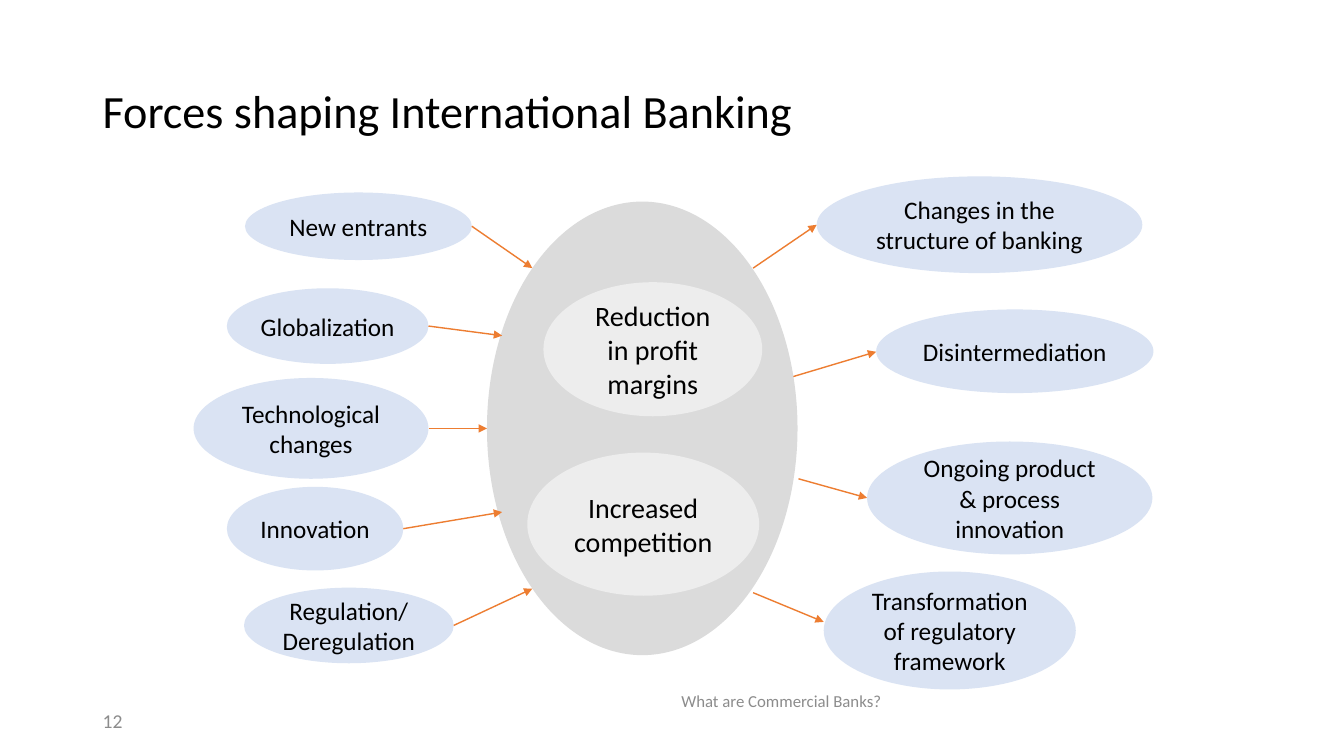
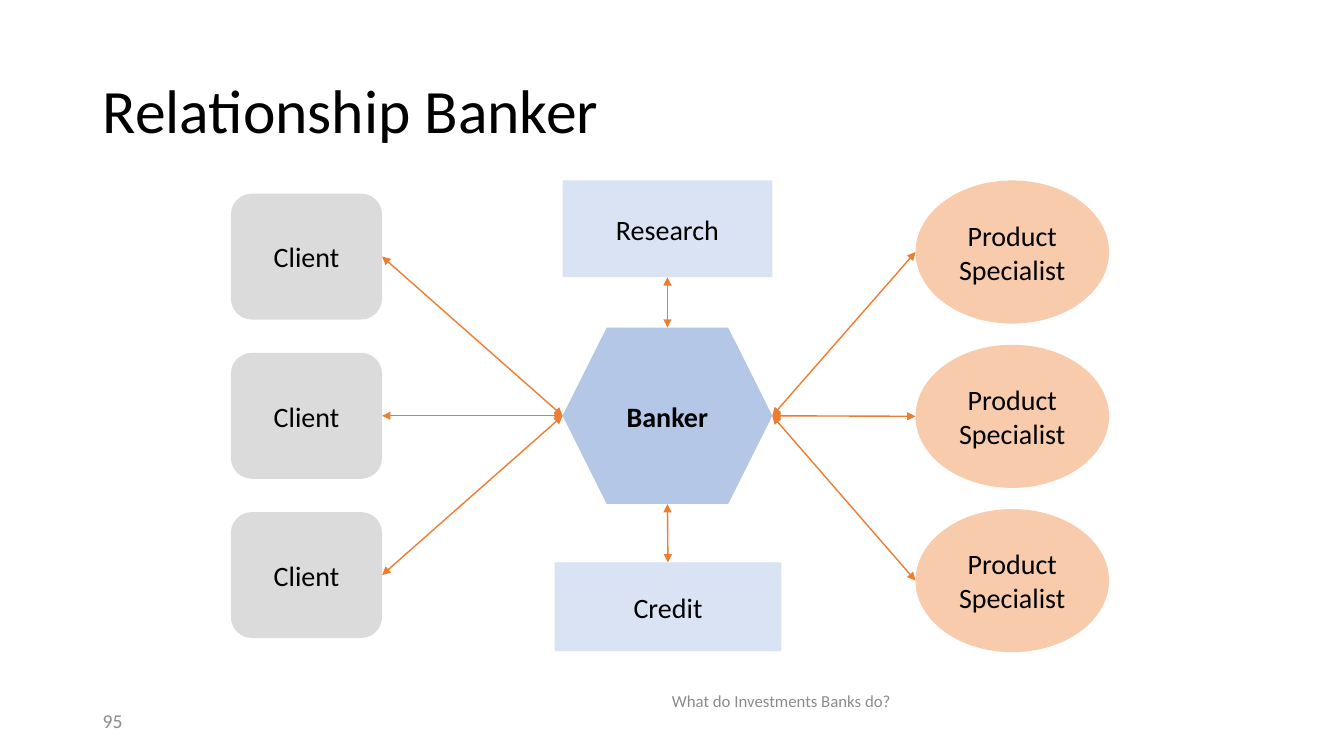
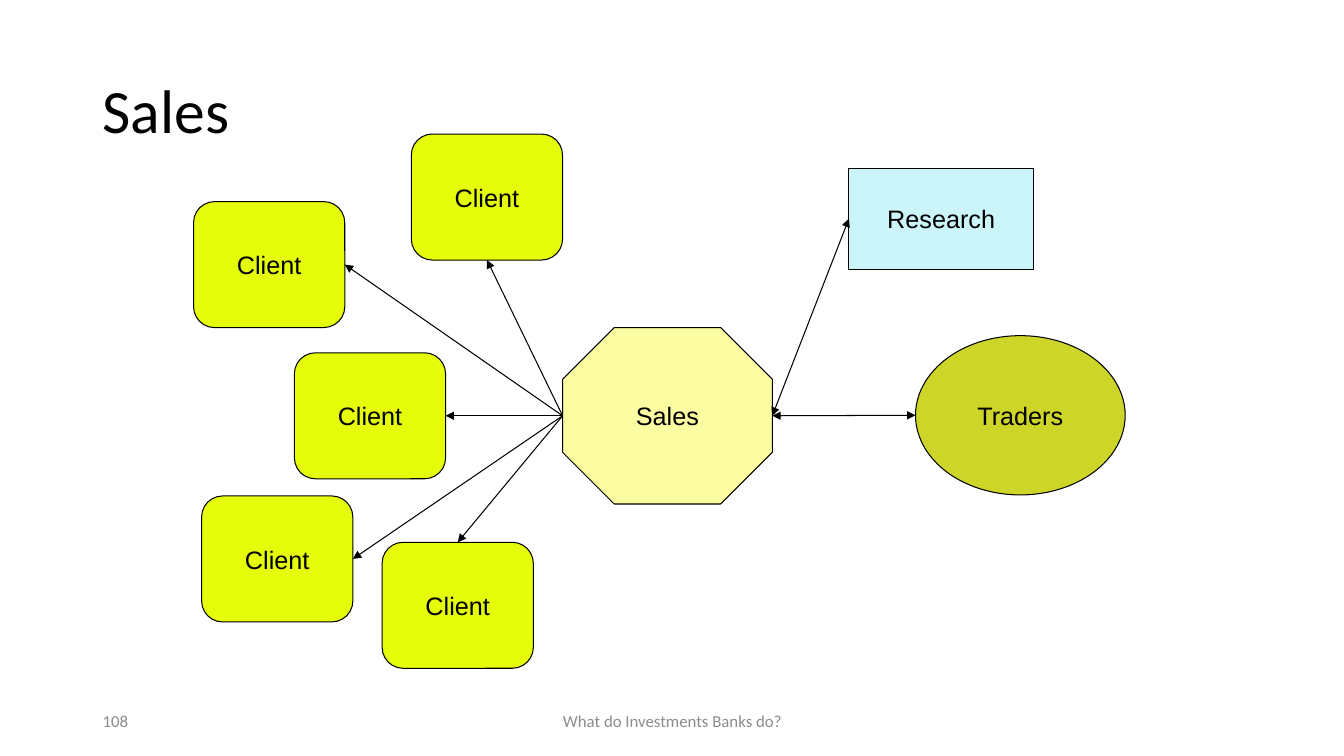
from dataclasses import dataclass
from typing import Any, NamedTuple, Optional, Union

import pptx
import pptx.dml.color
import pptx.enum.shapes
import pptx.enum.text
import pptx.oxml.ns
import pptx.util
from lxml import etree

Inches = pptx.util.Inches
Pt = pptx.util.Pt
SHAPE = pptx.enum.shapes.MSO_SHAPE
ALIGN = pptx.enum.text.PP_ALIGN
MIDDLE = pptx.enum.text.MSO_ANCHOR.MIDDLE
qn = pptx.oxml.ns.qn

COLORS = {
    "black": "000000",
    "footer": "8C8C8C",
    "orange": "ED7D31",
    "gray": "DBDBDB",
    "pale gray": "EDEDED",
    "pale blue": "DAE3F3",
    "blue": "B4C7E7",
    "peach": "F8CBAD",
    "lime": "E5FC0A",
    "cream": "FCFCA2",
    "cyan": "CBF5F9",
    "olive": "CDD529",
}
TOP, LEFT, BOTTOM, RIGHT = range(4)
SIDE_FACTORS = {TOP: (0.5, 0), LEFT: (0, 0.5), BOTTOM: (0.5, 1), RIGHT: (1, 0.5)}
FOUR_SITED = (SHAPE.RECTANGLE, SHAPE.ROUNDED_RECTANGLE)


class Box(NamedTuple):
    x: float
    y: float
    w: float
    h: float


class Point(NamedTuple):
    x: float
    y: float


class Port(NamedTuple):
    sp: Any
    side: int


End = Union[Point, Port]


@dataclass(frozen=True)
class NodeStyle:
    geom: Any
    fill: str
    size: float
    font: str = "Calibri"
    outline: Optional[str] = None
    bold: bool = False


@dataclass(frozen=True)
class Node:
    text: str
    box: Box
    style: NodeStyle
    wrap: bool = False


@dataclass(frozen=True)
class ArrowStyle:
    color: str
    width: float


TITLE_BOX = Box(0.92, 0.4, 11.5, 1.45)
NUMBER_BOX = Box(0.92, 6.95, 3, 0.4)
RAISED_FOOTER = Box(3.84, 6.72, 7.82, 0.47)
LOW_FOOTER = Box(4.42, 6.95, 4.5, 0.4)

ORANGE_ARROW = ArrowStyle("orange", 1)
BLACK_ARROW = ArrowStyle("black", 0.75)

FORCE = NodeStyle(SHAPE.OVAL, "pale blue", 18)
CORE = NodeStyle(SHAPE.OVAL, "gray", 20)
PRESSURE = NodeStyle(SHAPE.OVAL, "pale gray", 20)
CLIENT = NodeStyle(SHAPE.ROUNDED_RECTANGLE, "gray", 20)
SUPPORT = NodeStyle(SHAPE.RECTANGLE, "pale blue", 20)
BANKER = NodeStyle(SHAPE.HEXAGON, "blue", 20, bold=True)
SPECIALIST = NodeStyle(SHAPE.OVAL, "peach", 20)
SALES_CLIENT = NodeStyle(SHAPE.ROUNDED_RECTANGLE, "lime", 18, "Arial", "black")
SALES = NodeStyle(SHAPE.OCTAGON, "cream", 18, "Arial", "black")
RESEARCH = NodeStyle(SHAPE.RECTANGLE, "cyan", 18, "Arial", "black")
TRADERS = NodeStyle(SHAPE.OVAL, "olive", 18, "Arial", "black")


def rgb(name: str) -> pptx.dml.color.RGBColor:
    return pptx.dml.color.RGBColor.from_string(COLORS[name])


def write_text(sp: Any, text: str, font: dict, color: str = "black",
               paragraph: Optional[dict] = None, wrap: bool = True) -> None:
    tf = sp.text_frame
    tf.word_wrap = wrap
    tf.vertical_anchor = MIDDLE
    for i, line in enumerate(text.split("\n")):
        p = tf.paragraphs[0] if i == 0 else tf.add_paragraph()
        for key, value in (paragraph or {}).items():
            setattr(p, key, value)
        r = p.add_run()
        r.text = line
        for key, value in font.items():
            setattr(r.font, key, value)
        r.font.color.rgb = rgb(color)


def add_label(s: Any, text: str, box: Box, size: float, color: str,
              paragraph: Optional[dict] = None) -> None:
    sp = s.shapes.add_textbox(*map(Inches, box))
    write_text(sp, text, {"name": "Calibri", "size": Pt(size)}, color, paragraph)


def add_slide(prs: Any, title: str, number: str, footer: str, title_size: float = 44,
              number_size: float = 14, footer_box: Box = RAISED_FOOTER) -> Any:
    s = prs.slides.add_slide(prs.slide_layouts[6])
    add_label(s, title, TITLE_BOX, title_size, "black", {"line_spacing": 0.9})
    add_label(s, number, NUMBER_BOX, number_size, "footer")
    add_label(s, footer, footer_box, 12, "footer", {"alignment": ALIGN.CENTER})
    return s


def add_node(s: Any, node: Node) -> Any:
    style = node.style
    sp = s.shapes.add_shape(style.geom, *map(Inches, node.box))
    sp.shadow.inherit = False
    sp.fill.solid()
    sp.fill.fore_color.rgb = rgb(style.fill)
    if style.outline:
        sp.line.color.rgb = rgb(style.outline)
        sp.line.width = Pt(0.75)
    else:
        sp.line.fill.background()
    if node.text:
        font = {"name": style.font, "size": Pt(style.size), "bold": style.bold}
        write_text(sp, node.text, font, paragraph={"alignment": ALIGN.CENTER}, wrap=node.wrap)
    return sp


def locate(end: End) -> tuple[int, int]:
    if isinstance(end, Point):
        return Inches(end.x), Inches(end.y)
    sp, (fx, fy) = end.sp, SIDE_FACTORS[end.side]
    return int(sp.left + sp.width * fx), int(sp.top + sp.height * fy)


def add_arrow(s: Any, begin: End, end: End, style: ArrowStyle, both: bool = False) -> None:
    line = s.shapes.add_connector(pptx.enum.shapes.MSO_CONNECTOR.STRAIGHT,
                                  *locate(begin), *locate(end))
    for port, connect in ((begin, line.begin_connect), (end, line.end_connect)):
        if isinstance(port, Port) and port.sp.auto_shape_type in FOUR_SITED:
            connect(port.sp, port.side)
    line.line.color.rgb = rgb(style.color)
    line.line.width = Pt(style.width)
    props = line.element.spPr
    for tag in ("a:headEnd", "a:tailEnd") if both else ("a:tailEnd",):
        etree.SubElement(props.find(qn("a:ln")), qn(tag), type="triangle")
    etree.SubElement(props, qn("a:effectLst"))


def build_forces(prs: Any) -> None:
    s = add_slide(prs, "Forces shaping International Banking", "12",
                  "What are Commercial Banks?", title_size=33)
    add_arrow(s, Point(7.82, 3.75), Point(8.69, 3.49), ORANGE_ARROW)
    add_node(s, Node("", Box(4.83, 2, 3.08, 4.5), CORE))
    for text, box in (
        ("Reduction in profit margins", Box(5.39, 2.8, 2.17, 1.33)),
        ("Increased competition", Box(5.23, 4.49, 2.3, 1.42)),
    ):
        add_node(s, Node(text, box, PRESSURE, wrap=True))
    causes = (
        (Node("New entrants", Box(2.43, 1.91, 2.25, 0.67), FORCE), Point(5.28, 2.66)),
        (Node("Globalization", Box(2.25, 2.86, 2, 0.75), FORCE), Point(4.98, 3.33)),
        (Node("Technological changes", Box(1.92, 3.75, 2.33, 1), FORCE, True), Point(4.83, 4.25)),
        (Node("Innovation", Box(2.25, 4.83, 1.75, 0.83), FORCE), Point(4.98, 5.08)),
        (Node("Regulation/\nDeregulation", Box(2.42, 5.83, 2.08, 0.75), FORCE), Point(5.28, 5.84)),
    )
    for node, target in causes:
        add_arrow(s, Port(add_node(s, node), RIGHT), target, ORANGE_ARROW)
    add_node(s, Node("Disintermediation", Box(8.69, 3.07, 2.75, 0.83), FORCE))
    effects = (
        (Point(7.47, 2.66), Point(8.1, 2.23),
         Node("Changes in the structure of banking", Box(8.1, 1.75, 3.23, 0.96), FORCE, True)),
        (Point(7.92, 4.75), Point(8.6, 4.94),
         Node("Ongoing product & process innovation", Box(8.6, 4.38, 2.83, 1.12), FORCE, True)),
        (Point(7.47, 5.88), Point(8.17, 6.17),
         Node("Transformation of regulatory framework", Box(8.17, 5.67, 2.5, 1.17), FORCE, True)),
    )
    for origin, target, node in effects:
        add_node(s, node)
        add_arrow(s, origin, target, ORANGE_ARROW)


def build_banker(prs: Any) -> None:
    s = add_slide(prs, "Relationship Banker", "95", "What do Investments Banks do?")
    banker = add_node(s, Node("Banker", Box(5.58, 3.25, 2.08, 1.75), BANKER))
    research = add_node(s, Node("Research", Box(5.58, 1.79, 2.08, 0.96), SUPPORT))
    credit = add_node(s, Node("Credit", Box(5.5, 5.58, 2.25, 0.88), SUPPORT))
    links = [
        (Port(research, BOTTOM), Port(banker, TOP)),
        (Port(banker, BOTTOM), Port(credit, TOP)),
    ]
    for row in range(3):
        client = add_node(s, Node("Client", Box(2.29, 1.92 + 1.58 * row, 1.5, 1.25), CLIENT))
        specialist = add_node(s, Node("Product\nSpecialist",
                                      Box(9.08, 1.79 + 1.63 * row, 1.92, 1.42), SPECIALIST))
        links += [
            (Port(client, RIGHT), Port(banker, LEFT)),
            (Port(banker, RIGHT), Port(specialist, LEFT)),
        ]
    for begin, end in links:
        add_arrow(s, begin, end, ORANGE_ARROW, both=True)


def build_sales(prs: Any) -> None:
    s = add_slide(prs, "Sales", "108", "What do Investments Banks do?",
                  number_size=12, footer_box=LOW_FOOTER)
    sales = add_node(s, Node("Sales", Box(5.58, 3.25, 2.08, 1.75), SALES))
    for x, y, side in (
        (4.08, 1.33, BOTTOM),
        (1.92, 2, RIGHT),
        (2.92, 3.5, RIGHT),
        (2, 4.92, RIGHT),
        (3.79, 5.38, TOP),
    ):
        client = add_node(s, Node("Client", Box(x, y, 1.5, 1.25), SALES_CLIENT))
        add_arrow(s, Port(sales, LEFT), Port(client, side), BLACK_ARROW)
    for node in (
        Node("Research", Box(8.42, 1.67, 1.83, 1), RESEARCH),
        Node("Traders", Box(9.08, 3.33, 2.08, 1.58), TRADERS),
    ):
        partner = add_node(s, node)
        add_arrow(s, Port(sales, RIGHT), Port(partner, LEFT), BLACK_ARROW, both=True)


def main() -> None:
    prs = pptx.Presentation()
    prs.slide_width = Inches(13.33)
    prs.slide_height = Inches(7.5)
    for build in (build_forces, build_banker, build_sales):
        build(prs)
    prs.save("out.pptx")


if __name__ == "__main__":
    main()
